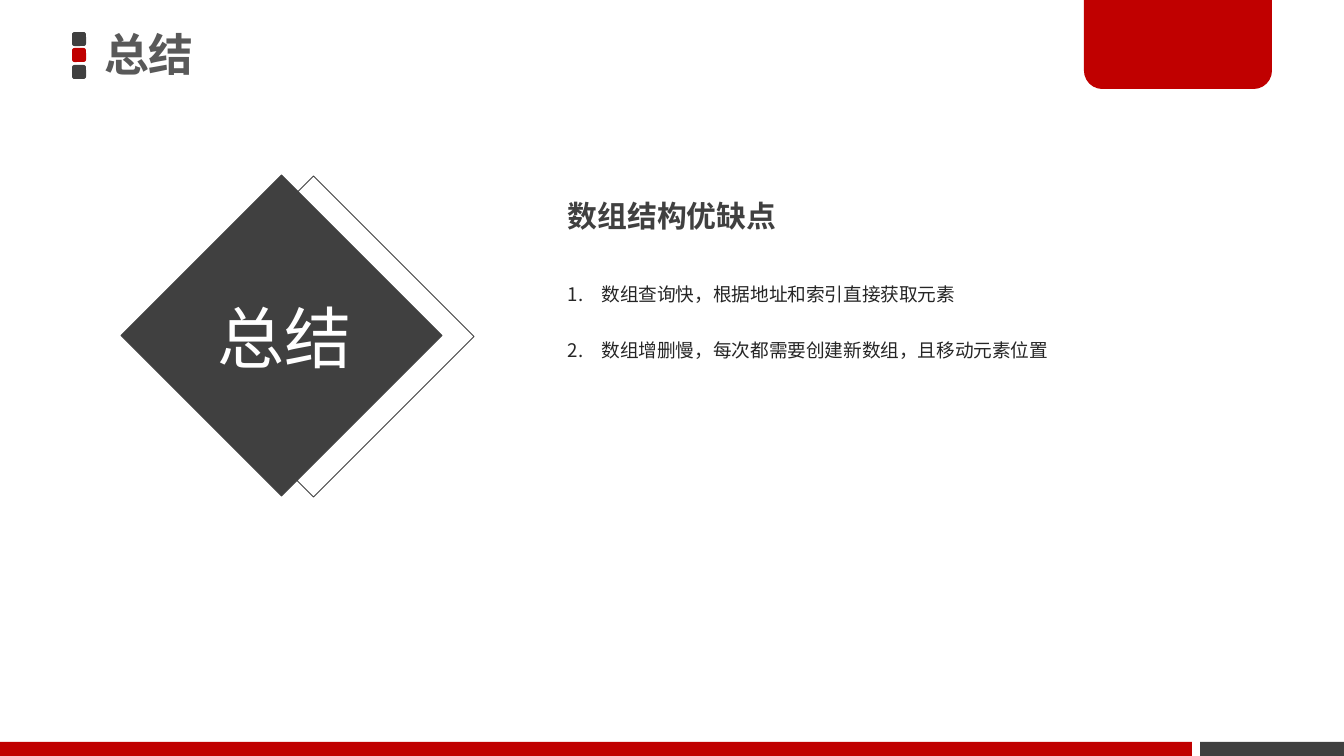
from dataclasses import dataclass

from lxml.etree import SubElement
from pptx import Presentation
from pptx.dml.color import RGBColor
from pptx.enum.shapes import MSO_SHAPE
from pptx.enum.text import MSO_ANCHOR, MSO_AUTO_SIZE, PP_ALIGN
from pptx.oxml.ns import qn
from pptx.util import Emu, Pt


@dataclass(frozen=True)
class Theme:
    font: str = "Noto Sans CJK SC"
    dark: str = "404040"
    red: str = "C00000"
    title: str = "595959"
    body: str = "262626"
    white: str = "FFFFFF"
    title_size: int = 24
    diamond_size: int = 36
    heading_size: int = 16
    body_size: int = 10


theme = Theme()
PX = 914400 / 134.4


def add_box(kind, left, top, width, height, fill=None, line=None):
    bounds = [Emu(round(value * PX)) for value in (left, top, width, height)]
    shape = slide.shapes.add_shape(kind, *bounds)
    shape.shadow.inherit = False
    if fill:
        shape.fill.solid()
        shape.fill.fore_color.rgb = RGBColor.from_string(fill)
    else:
        shape.fill.background()
    if line:
        shape.line.color.rgb = RGBColor.from_string(line)
        shape.line.width = Pt(0.5)
    else:
        shape.line.fill.background()
    return shape


def add_run(paragraph, text, size, color, bold=False):
    run = paragraph.add_run()
    run.text = text
    run.font.size = Pt(size)
    run.font.bold = bold
    run.font.color.rgb = RGBColor.from_string(color)
    run.font.name = theme.font
    SubElement(run._r.get_or_add_rPr(), qn("a:ea"), typeface=theme.font)


presentation = Presentation()
presentation.slide_width = Emu(round(1344 * PX))
presentation.slide_height = Emu(round(756 * PX))
slide = presentation.slides.add_slide(presentation.slide_layouts[5])

# Three small squares beside the title
for index, color in enumerate((theme.dark, theme.red, theme.dark)):
    square = add_box(MSO_SHAPE.ROUNDED_RECTANGLE, 72, 32 + index * 33 // 2, 14, 14, color)
    square.adjustments[0] = 0.17

# Footer bars and the red tab at the top
add_box(MSO_SHAPE.RECTANGLE, 1200, 742, 144, 14, theme.dark)
tab = add_box(MSO_SHAPE.ROUND_2_SAME_RECTANGLE, 1084, -3, 188, 92, theme.red)
tab.adjustments[0] = 0
tab.adjustments[1] = 0.2
add_box(MSO_SHAPE.RECTANGLE, 0, 742, 1192, 14, theme.red)

# Outlined diamond behind the filled one
for left, top, fill in ((200, 223, None), (168, 222, theme.dark)):
    diamond = add_box(MSO_SHAPE.RECTANGLE, left, top, 227, 227, fill, theme.dark)
    diamond.rotation = 45

# Title, diamond label, heading and list frames
title = slide.shapes.title
label = slide.shapes.add_textbox(0, 0, 0, 0)
heading = slide.shapes.add_textbox(0, 0, 0, 0)
points = slide.shapes.add_textbox(0, 0, 0, 0)
for shape, left, top, width, height, inset_x, inset_y, anchor in (
    (title, 93, -3, 579, 120, 11, 5, MSO_ANCHOR.MIDDLE),
    (label, 3, 282, 563, 120, 11, 5, MSO_ANCHOR.MIDDLE),
    (heading, 555, 191, 519, 50, 13, 7, MSO_ANCHOR.TOP),
    (points, 555, 242, 539, 181, 13, 7, MSO_ANCHOR.TOP),
):
    shape.left, shape.top, shape.width, shape.height = (
        Emu(round(value * PX)) for value in (left, top, width, height)
    )
    frame = shape.text_frame
    frame.word_wrap = True
    frame.auto_size = MSO_AUTO_SIZE.NONE
    frame.vertical_anchor = anchor
    frame.margin_left = frame.margin_right = Emu(round(inset_x * PX))
    frame.margin_top = frame.margin_bottom = Emu(round(inset_y * PX))

# Title and diamond label
for shape, alignment, size, color, bold in (
    (title, PP_ALIGN.LEFT, theme.title_size, theme.title, True),
    (label, PP_ALIGN.CENTER, theme.diamond_size, theme.white, False),
):
    paragraph = shape.text_frame.paragraphs[0]
    paragraph.alignment = alignment
    paragraph.line_spacing = 0.9
    add_run(paragraph, "总结", size, color, bold)

# Heading
add_run(heading.text_frame.paragraphs[0], "数组结构优缺点", theme.heading_size, theme.dark, True)

# Numbered list
for index, text in enumerate((
    "数组查询快，根据地址和索引直接获取元素",
    "数组增删慢，每次都需要创建新数组，且移动元素位置",
)):
    frame = points.text_frame
    paragraph = frame.add_paragraph() if index else frame.paragraphs[0]
    paragraph.line_spacing = 2.5
    properties = paragraph._p.get_or_add_pPr()
    properties.set("marL", "228600")
    properties.set("indent", "-228600")
    number_color = SubElement(properties, qn("a:buClr"))
    SubElement(number_color, qn("a:srgbClr"), val=theme.body)
    SubElement(properties, qn("a:buAutoNum"), type="arabicPeriod")
    add_run(paragraph, text, theme.body_size, theme.body)

presentation.save("out.pptx")
